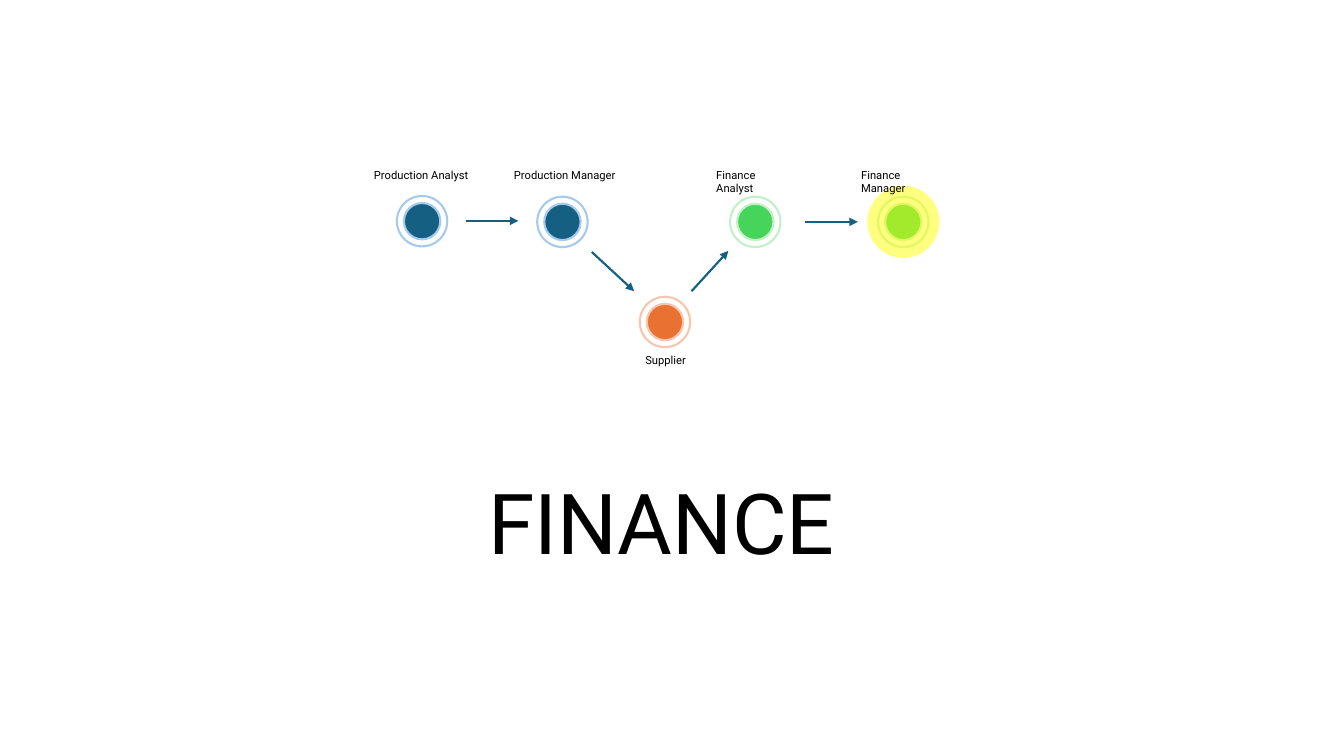
import pptx
import pptx.util
import pptx.dml.color
import pptx.enum.shapes
import pptx.enum.text
import pptx.oxml
import pptx.oxml.ns
from lxml import etree

Pt = pptx.util.Pt
FONT = "Roboto"
BLUE, PALE_BLUE = "156082", "A6CAEC"
ORANGE, PALE_ORANGE = "E97132", "F6C6AD"
GREEN, PALE_GREEN = "47D45A", "C2F1C8"
BLACK, WHITE, YELLOW = "000000", "FFFFFF", "FFFF00"
CENTER = pptx.enum.text.PP_ALIGN.CENTER
LEFT = pptx.enum.text.PP_ALIGN.LEFT

# Center x, center y, dot colour, ring colour
ROLES = [
    (301.5, 158, BLUE, PALE_BLUE),
    (401.75, 158.5, BLUE, PALE_BLUE),
    (475, 230, ORANGE, PALE_ORANGE),
    (539.5, 158.5, GREEN, PALE_GREEN),
    (645.25, 158.5, GREEN, PALE_GREEN),
]
# Start x, start y, end x, end y
ARROWS = [
    (332.75, 157.75, 370.25, 157.75),
    (575.25, 158.5, 612.75, 158.5),
    (422.75, 180, 453, 208),
    (494, 208, 520.25, 179.25),
]
# Text, left, top, width, alignment
LABELS = [
    ("Production Analyst", 260, 116.5, 83, LEFT),
    ("Production Manager", 360, 116.5, 91.5, LEFT),
    ("Supplier", 429.75, 248.5, 91.5, CENTER),
    ("Finance Analyst", 504.5, 116.5, 70, LEFT),
    ("Finance Manager", 608, 116.5, 74, LEFT),
]


def rgb(value):
    return pptx.dml.color.RGBColor.from_string(value)


def add_xml(parent, tag, **attributes):
    return etree.SubElement(parent, pptx.oxml.ns.qn(tag), attributes)


def set_text(paragraph, text, size, alignment):
    paragraph.text = text
    paragraph.alignment = alignment
    paragraph.font.name = FONT
    paragraph.font.size = Pt(size)
    paragraph.font.color.rgb = rgb(BLACK)


def add_title(slide, text):
    title = slide.shapes.title
    title.left, title.top, title.width, title.height = Pt(120), Pt(335), Pt(720), Pt(77.75)
    title.text_frame.vertical_anchor = pptx.enum.text.MSO_ANCHOR.BOTTOM
    paragraph = title.text_frame.paragraphs[0]
    set_text(paragraph, text, 60, CENTER)
    paragraph.line_spacing = 0.9


def add_circle(slide, x, y, diameter, fill, line=None):
    circle = slide.shapes.add_shape(
        pptx.enum.shapes.MSO_SHAPE.FLOWCHART_CONNECTOR,
        Pt(x - diameter / 2), Pt(y - diameter / 2), Pt(diameter), Pt(diameter))
    circle.shadow.inherit = False
    circle.fill.solid()
    circle.fill.fore_color.rgb = rgb(fill)
    if line:
        circle.line.color.rgb = rgb(line)
        circle.line.width = Pt(1.5)
    else:
        circle.line.fill.background()
    return circle


def add_role(slide, x, y, dot, ring):
    add_circle(slide, x, y, 36, WHITE, ring)
    add_circle(slide, x, y, 26, dot, ring)


def add_highlight(slide, x, y):
    """Lay a half-transparent yellow disc over a role."""
    disc = add_circle(slide, x, y, 51.5, YELLOW)
    color = disc.fill._xPr.find(".//" + pptx.oxml.ns.qn("a:srgbClr"))
    add_xml(color, "a:alpha", val="50000")


def add_arrow(slide, *ends):
    arrow = slide.shapes.add_connector(
        pptx.enum.shapes.MSO_CONNECTOR.STRAIGHT, *map(Pt, ends))
    arrow.line.color.rgb = rgb(BLUE)
    arrow.line.width = Pt(1.5)
    add_xml(arrow.line._get_or_add_ln(), "a:tailEnd", type="triangle")
    add_xml(arrow._element.spPr, "a:effectLst")


def add_label(slide, text, left, top, width, alignment):
    label = slide.shapes.add_textbox(Pt(left), Pt(top), Pt(width), Pt(17))
    label.text_frame.word_wrap = True
    label.text_frame.auto_size = pptx.enum.text.MSO_AUTO_SIZE.SHAPE_TO_FIT_TEXT
    set_text(label.text_frame.paragraphs[0], text, 8, alignment)


def main():
    presentation = pptx.Presentation()
    presentation.slide_width, presentation.slide_height = Pt(960), Pt(540)
    slide = presentation.slides.add_slide(presentation.slide_layouts[0])
    subtitle = slide.placeholders[1]._element
    subtitle.getparent().remove(subtitle)

    add_title(slide, "FINANCE ")
    for role in ROLES:
        add_role(slide, *role)
    for arrow in ARROWS:
        add_arrow(slide, *arrow)
    finance_manager_x, finance_manager_y = ROLES[-1][:2]
    add_highlight(slide, finance_manager_x, finance_manager_y)
    for label in LABELS:
        add_label(slide, *label)
    presentation.save("out.pptx")


if __name__ == "__main__":
    main()
